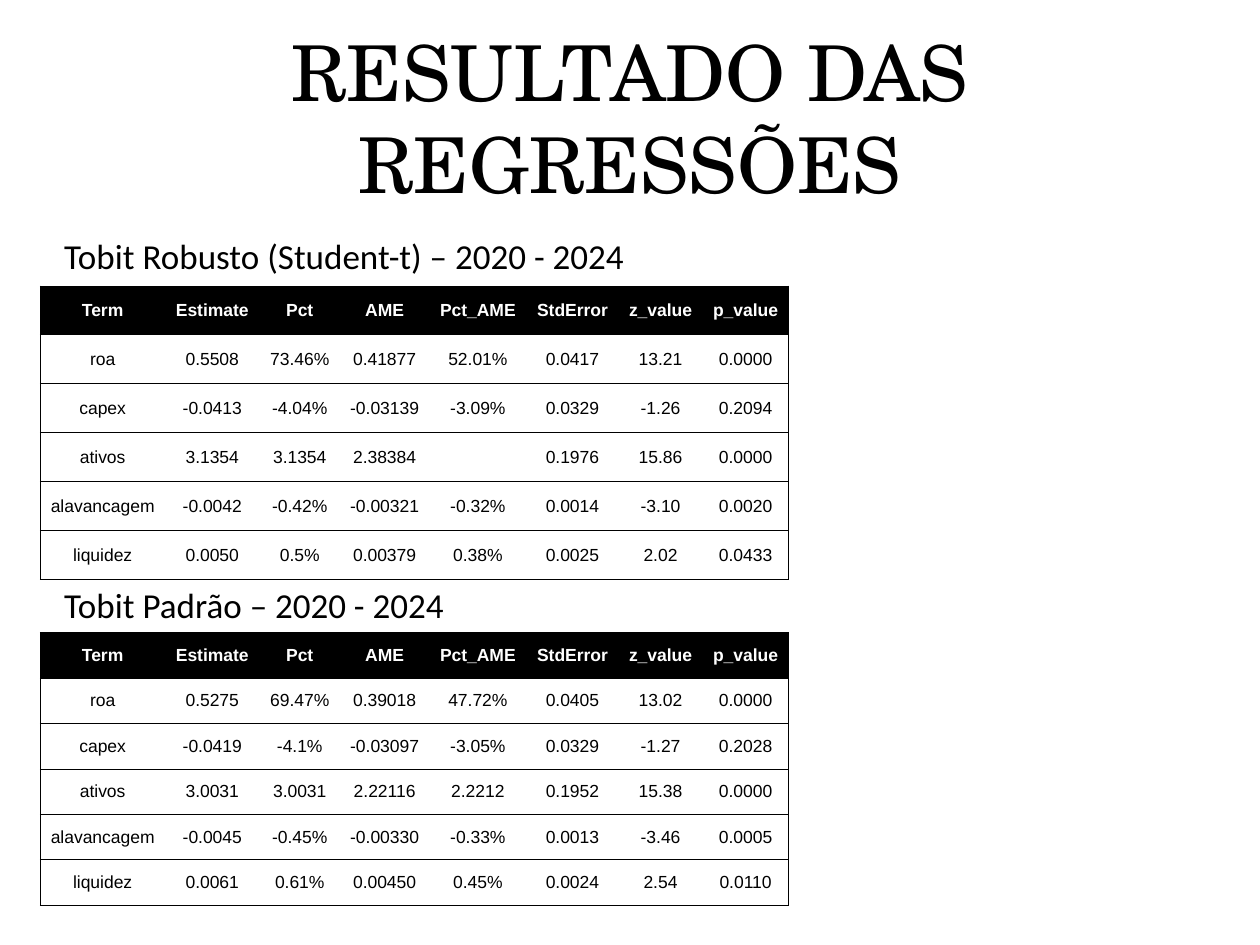
"""Build the slide with the results of the two Tobit regressions."""
from lxml import etree
from pptx import Presentation
from pptx import util as u
from pptx.dml.color import RGBColor
from pptx.enum import text
from pptx.oxml import ns

HEADER = ["Term", "Estimate", "Pct", "AME", "Pct_AME", "StdError", "z_value", "p_value"]
ROBUST = [
    ["roa", "0.5508", "73.46%", "0.41877", "52.01%", "0.0417", "13.21", "0.0000"],
    ["capex", "-0.0413", "-4.04%", "-0.03139", "-3.09%", "0.0329", "-1.26", "0.2094"],
    ["ativos", "3.1354", "3.1354", "2.38384", "", "0.1976", "15.86", "0.0000"],
    ["alavancagem", "-0.0042", "-0.42%", "-0.00321", "-0.32%", "0.0014", "-3.10", "0.0020"],
    ["liquidez", "0.0050", "0.5%", "0.00379", "0.38%", "0.0025", "2.02", "0.0433"],
]
STANDARD = [
    ["roa", "0.5275", "69.47%", "0.39018", "47.72%", "0.0405", "13.02", "0.0000"],
    ["capex", "-0.0419", "-4.1%", "-0.03097", "-3.05%", "0.0329", "-1.27", "0.2028"],
    ["ativos", "3.0031", "3.0031", "2.22116", "2.2212", "0.1952", "15.38", "0.0000"],
    ["alavancagem", "-0.0045", "-0.45%", "-0.00330", "-0.33%", "0.0013", "-3.46", "0.0005"],
    ["liquidez", "0.0061", "0.61%", "0.00450", "0.45%", "0.0024", "2.54", "0.0110"],
]
COL_WIDTHS = [71.3, 54, 46, 51, 55.6, 52.5, 48.2, 49]
NO_STYLE = "{2D5ABB26-0587-4C30-8999-92F81FD0307C}"
BLACK, WHITE = "000000", "FFFFFF"


def rgb(color):
    return RGBColor.from_string(color)


def write(tf, words, font="Calibri", size=20, color=BLACK, bold=False, align=text.PP_ALIGN.LEFT):
    tf.word_wrap = True
    p = tf.paragraphs[0]
    p.alignment = align
    r = p.add_run()
    r.text = words
    r.font.name, r.font.size, r.font.bold = font, u.Pt(size), bold
    r.font.color.rgb = rgb(color)


prs = Presentation()
prs.slide_width, prs.slide_height = u.Pt(720), u.Pt(540)
s = prs.slides.add_slide(prs.slide_layouts[6])

title = s.shapes.add_textbox(u.Pt(36), u.Pt(21.6), u.Pt(648), u.Pt(90)).text_frame
title.vertical_anchor = text.MSO_ANCHOR.MIDDLE
write(title, "RESULTADO DAS REGRESSÕES", font="TeX Gyre Schola", size=44, align=text.PP_ALIGN.CENTER)

sections = [
    ("Tobit Robusto (Student-t) – 2020 - 2024", 130.3, 163.4, 28, ROBUST),
    ("Tobit Padrão – 2020 - 2024", 329.8, 361.4, 26, STANDARD),
]
for heading, heading_top, table_top, row_height, results in sections:
    sp = s.shapes.add_textbox(u.Pt(29.5), u.Pt(heading_top), u.Pt(686), u.Pt(31.5))
    write(sp.text_frame, heading)

    rows = [HEADER] + results
    frame = s.shapes.add_table(len(rows), len(HEADER), u.Pt(23), u.Pt(table_top),
                               u.Pt(sum(COL_WIDTHS)), u.Pt(row_height * len(rows)))
    table = frame.table
    table.horz_banding = False
    table._tbl.tblPr.find(ns.qn("a:tableStyleId")).text = NO_STYLE
    for col, width in zip(table.columns, COL_WIDTHS):
        col.width = u.Pt(width)

    for i, row in enumerate(rows):
        table.rows[i].height = u.Pt(row_height)
        for j, value in enumerate(row):
            cell = table.cell(i, j)
            cell.margin_left = cell.margin_right = cell.margin_top = cell.margin_bottom = 0
            cell.vertical_anchor = text.MSO_ANCHOR.MIDDLE
            write(cell.text_frame, value, font="Arial", size=10, bold=i == 0,
                  color=WHITE if i == 0 else BLACK, align=text.PP_ALIGN.CENTER)
            pPr = cell.text_frame.paragraphs[0]._p.get_or_add_pPr()
            pPr.set("marL", str(u.Pt(5)))
            pPr.set("marR", str(u.Pt(5)))

            edges = {"L": j == 0, "R": j == len(row) - 1, "T": True, "B": True}
            for side, shown in edges.items():
                if shown:
                    ln = etree.SubElement(cell._tc.get_or_add_tcPr(), ns.qn(f"a:ln{side}"), w=str(u.Pt(0.5)))
                    fill = etree.SubElement(ln, ns.qn("a:solidFill"))
                    etree.SubElement(fill, ns.qn("a:srgbClr"), val=BLACK)
            if i == 0:
                cell.fill.solid()
                cell.fill.fore_color.rgb = rgb(BLACK)
            else:
                cell.fill.background()

prs.save("out.pptx")
